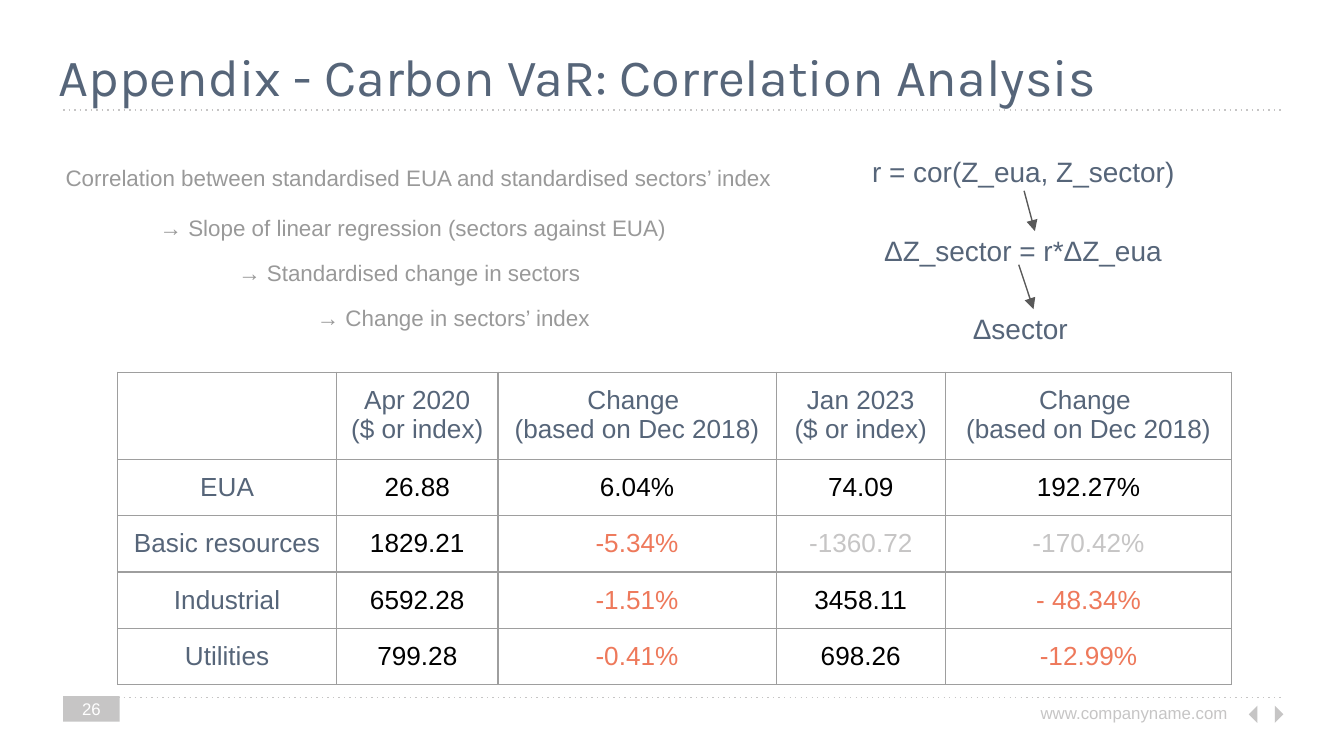
from dataclasses import dataclass

from pptx import Presentation
from pptx.dml.color import RGBColor
from pptx.enum.shapes import MSO_CONNECTOR as Connector, MSO_SHAPE as Shape
from pptx.enum.text import MSO_ANCHOR as Anchor, PP_ALIGN as Align
from pptx.oxml import parse_xml
from pptx.oxml.ns import nsdecls
from pptx.util import Inches, Pt


@dataclass(frozen=True)
class Theme:
    """Hold the colours, fonts, type sizes and grid unit of the slide."""
    slate: str = "566579"
    light: str = "C6C5C5"
    grey: str = "999999"
    border: str = "9E9E9E"
    arrow: str = "595959"
    coral: str = "EE795B"
    black: str = "000000"
    white: str = "FFFFFF"
    title_font: str = "Karla"
    body_font: str = "Arial"
    title_size: int = 28
    formula_size: int = 15
    table_size: int = 14
    body_size: int = 12
    footer_size: int = 9
    hairline: float = 0.75
    unit: float = 0.1


THEME = Theme()
COLUMNS, ROWS = 100, 56.25
MARGIN = 4.7
TABLE_COLUMNS = (16.3, 12, 20.7, 12.6, 21.3)
TABLE_ROWS = (6.3, 4.2, 4.2, 4.2, 4.2)
TABLE = (
    ("", "Apr 2020\n($ or index)", "Change \n(based on Dec 2018)",
     "Jan 2023\n($ or index)", "Change \n(based on Dec 2018)"),
    ("EUA", "26.88", "6.04%", "74.09", "192.27%"),
    ("Basic resources", "1829.21", "-5.34%", "-1360.72", "-170.42%"),
    ("Industrial", "6592.28", "-1.51%", "3458.11", "- 48.34%"),
    ("Utilities", "799.28", "-0.41%", "698.26", "-12.99%"),
)
IMPOSSIBLE = {"-1360.72", "-170.42%"}
STEPS = (
    "→ Slope of linear regression (sectors against EUA)",
    "→ Standardised change in sectors",
    "→ Change in sectors’ index",
)
FORMULAS = (
    ("r = cor(Z_eua, Z_sector)", 63.9, 26.1),
    ("ΔZ_sector = r*ΔZ_eua", 64.8, 26.1),
    ("Δsector", 71.4, 11),
)
ARROWS = ((76.2, 14.2, 77, 17.2), (75.8, 19.7, 76.9, 23))


def grid(*cells):
    """Turn grid counts into lengths."""
    return [Inches(cell * THEME.unit) for cell in cells]


def write(frame, text, size=THEME.body_size, color=THEME.slate, font=THEME.body_font,
          align=Align.LEFT, spacing=None, after=None):
    """Write text into a frame, one paragraph per line."""
    frame.word_wrap = True
    for index, line in enumerate(text.split("\n")):
        paragraph = frame.paragraphs[0] if index == 0 else frame.add_paragraph()
        paragraph.alignment = align
        paragraph.line_spacing = spacing
        paragraph.space_after = after
        run = paragraph.add_run()
        run.text = line
        run.font.name = font
        run.font.size = Pt(size)
        run.font.color.rgb = RGBColor.from_string(color)


def add_text(slide, text, box, anchor=Anchor.TOP, **style):
    """Add a text box with even insets."""
    frame = slide.shapes.add_textbox(*grid(*box)).text_frame
    frame.margin_left = frame.margin_right = Inches(0.1)
    frame.margin_top = frame.margin_bottom = Inches(0.1)
    frame.vertical_anchor = anchor
    write(frame, text, **style)


def add_shape(slide, kind, box, rotation=0):
    """Add a plain light shape."""
    shape = slide.shapes.add_shape(kind, *grid(*box))
    shape.shadow.inherit = False
    shape.fill.solid()
    shape.fill.fore_color.rgb = RGBColor.from_string(THEME.light)
    shape.line.fill.background()
    shape.rotation = rotation


def add_line(slide, ends, color, ending):
    """Add a thin line with a dash or arrowhead element."""
    line = slide.shapes.add_connector(Connector.STRAIGHT, *grid(*ends))
    line.line.width = Pt(THEME.hairline)
    line.line.color.rgb = RGBColor.from_string(color)
    line.line._get_or_add_ln().append(parse_xml(f'<a:{ending} {nsdecls("a")}/>'))
    line._element.spPr.append(parse_xml(f'<a:effectLst {nsdecls("a")}/>'))


def add_borders(cell):
    """Draw all four borders of a cell."""
    properties = cell._tc.get_or_add_tcPr()
    for index, side in enumerate(("lnL", "lnR", "lnT", "lnB")):
        properties.insert(index, parse_xml(
            f'<a:{side} {nsdecls("a")} w="{Pt(THEME.hairline)}"><a:solidFill>'
            f'<a:srgbClr val="{THEME.border}"/></a:solidFill></a:{side}>'))


def cell_color(row, column, text):
    """Choose slate for headings, coral for falls and grey for impossible values."""
    if row == 0 or column == 0:
        return THEME.slate
    if text in IMPOSSIBLE:
        return THEME.light
    return THEME.coral if text.startswith("-") else THEME.black


def add_results(slide):
    """Add the table of sector changes."""
    box = grid(8.75, 27.7, sum(TABLE_COLUMNS), sum(TABLE_ROWS))
    table = slide.shapes.add_table(len(TABLE_ROWS), len(TABLE_COLUMNS), *box).table
    table.first_row = table.horz_banding = False
    for column, width in zip(table.columns, grid(*TABLE_COLUMNS)):
        column.width = width
    for row, height in zip(table.rows, grid(*TABLE_ROWS)):
        row.height = height
    for row, texts in enumerate(TABLE):
        for column, text in enumerate(texts):
            cell = table.cell(row, column)
            cell.margin_left = cell.margin_right = cell.margin_top = Inches(0.1)
            cell.margin_bottom = Inches(0.08)
            cell.fill.background()
            add_borders(cell)
            if text:
                write(cell.text_frame, text, size=THEME.table_size, align=Align.CENTER,
                      color=cell_color(row, column, text))


def add_frame(slide):
    """Add the rules, footer and title."""
    for height in (51.9, 8.2):
        add_line(slide, (MARGIN, height, COLUMNS - MARGIN, height), THEME.light,
                 'prstDash val="dot"')
    for left, rotation in ((93.1, 45), (94.4, 225)):
        add_shape(slide, Shape.RIGHT_TRIANGLE, (left, 52.7, 0.9, 0.9), rotation)
    number_box = (MARGIN, 51.8, 4.2, 1.9)
    add_shape(slide, Shape.RECTANGLE, number_box)
    add_text(slide, "26", number_box, Anchor.MIDDLE, size=THEME.footer_size,
             color=THEME.white, align=Align.CENTER)
    add_text(slide, "www.companyname.com", (75.5, 51.5, 16.8, 1.9),
             size=THEME.footer_size, color=THEME.light, align=Align.RIGHT)
    add_text(slide, "Appendix - Carbon VaR: Correlation Analysis", (3.4, 2.3, 93.2, 5.1),
             size=THEME.title_size, font=THEME.title_font)


def add_reasoning(slide):
    """Add the stepped explanation and the chain of formulas."""
    style = dict(color=THEME.grey, spacing=1.15, after=Pt(16))
    add_text(slide, "Correlation between standardised EUA and standardised sectors’ index",
             (3.9, 10.9, 55, 3.7), **style)
    for index, text in enumerate(STEPS):
        add_text(slide, text, (10.9 + 5.85 * index, 14.65 + 3.35 * index, 40.1, 3.7), **style)
    for index, (text, left, width) in enumerate(FORMULAS):
        add_text(slide, text, (left, 11.3 + 5.85 * index, width, 2.9), Anchor.MIDDLE,
                 size=THEME.formula_size)
    for ends in ARROWS:
        add_line(slide, ends, THEME.arrow, 'tailEnd type="triangle"')


def main():
    """Build and save the slide."""
    presentation = Presentation()
    presentation.slide_width, presentation.slide_height = grid(COLUMNS, ROWS)
    slide = presentation.slides.add_slide(presentation.slide_layouts[6])
    add_frame(slide)
    add_results(slide)
    add_reasoning(slide)
    presentation.save("out.pptx")


if __name__ == "__main__":
    main()
